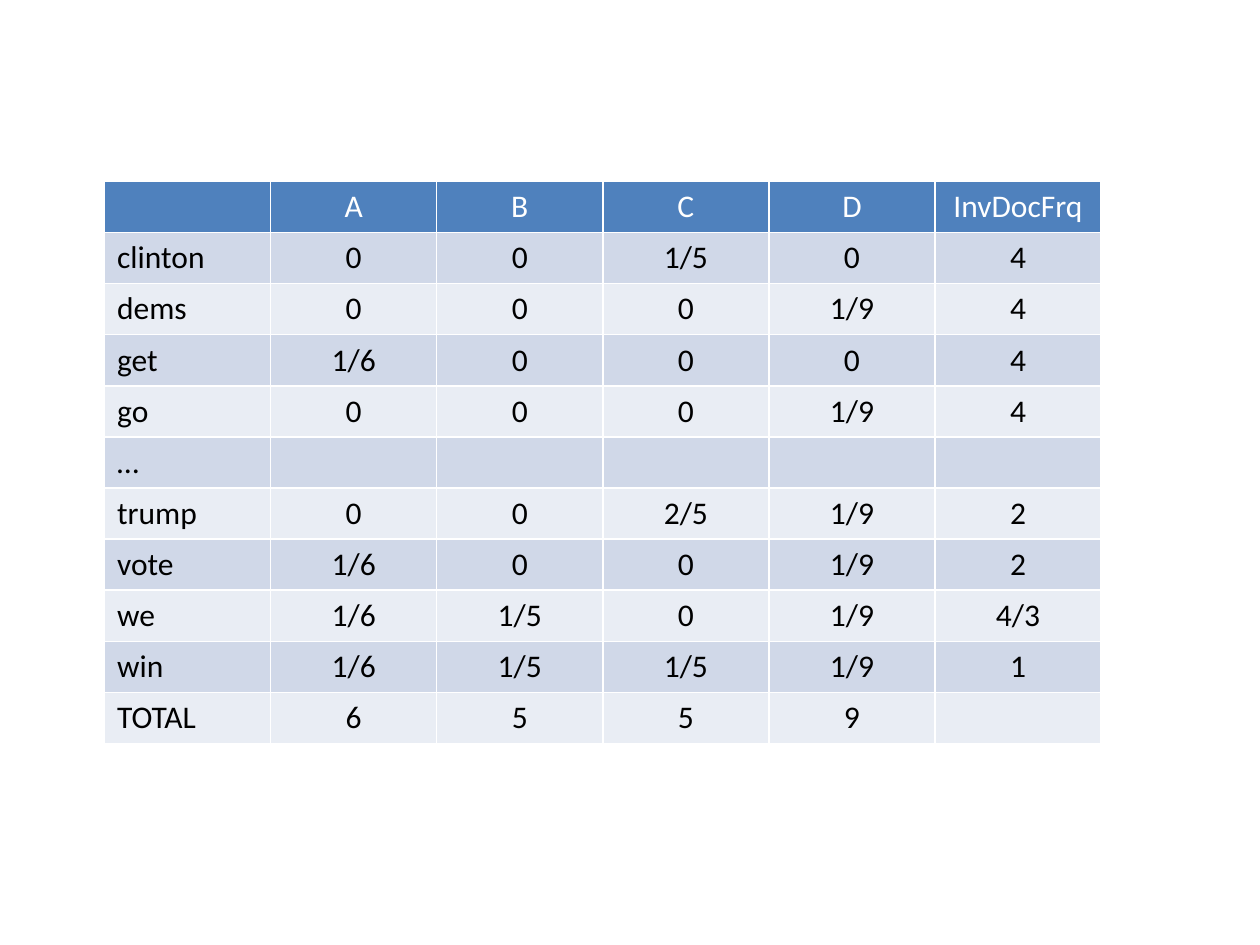
from pptx import Presentation
from pptx import util as u
from pptx.dml.color import RGBColor
from pptx.enum import text

ROWS = [
    ("", "A", "B", "C", "D", "InvDocFrq"),
    ("clinton", "0", "0", "1/5", "0", "4"),
    ("dems", "0", "0", "0", "1/9", "4"),
    ("get", "1/6", "0", "0", "0", "4"),
    ("go", "0", "0", "0", "1/9", "4"),
    ("…", "", "", "", "", ""),
    ("trump", "0", "0", "2/5", "1/9", "2"),
    ("vote", "1/6", "0", "0", "1/9", "2"),
    ("we", "1/6", "1/5", "0", "1/9", "4/3"),
    ("win", "1/6", "1/5", "1/5", "1/9", "1"),
    ("TOTAL", "6", "5", "5", "9", ""),
]
HEADER_FILL = "4F81BD"
BAND_FILLS = ("E9EDF4", "D0D8E8")  # even rows, odd rows
LEFT, TOP, WIDTH, HEIGHT = (u.Inches(n) for n in (0.83, 1.44, 7.91, 4.46))


def color(hex_value):
    return RGBColor.from_string(hex_value)


def fill_cell(cell, content, row, column):
    is_header = row == 0
    cell.fill.solid()
    cell.fill.fore_color.rgb = color(HEADER_FILL if is_header else BAND_FILLS[row % 2])
    para = cell.text_frame.paragraphs[0]
    para.text = content
    if is_header or column > 0:
        para.alignment = text.PP_ALIGN.CENTER
    for span in para.runs:
        span.font.name = "Calibri"
        span.font.size = u.Pt(18)
        span.font.bold = False
        span.font.color.rgb = color("FFFFFF" if is_header else "000000")


def main():
    deck = Presentation()
    deck.slide_width, deck.slide_height = u.Inches(10), u.Inches(7.5)
    page = deck.slides.add_slide(deck.slide_layouts.get_by_name("Blank"))

    # The default table style supplies the white cell borders.
    table = page.shapes.add_table(
        len(ROWS), len(ROWS[0]), LEFT, TOP, WIDTH, HEIGHT
    ).table
    for row, values in enumerate(ROWS):
        for column, content in enumerate(values):
            fill_cell(table.cell(row, column), content, row, column)

    deck.save("out.pptx")


if __name__ == "__main__":
    main()
